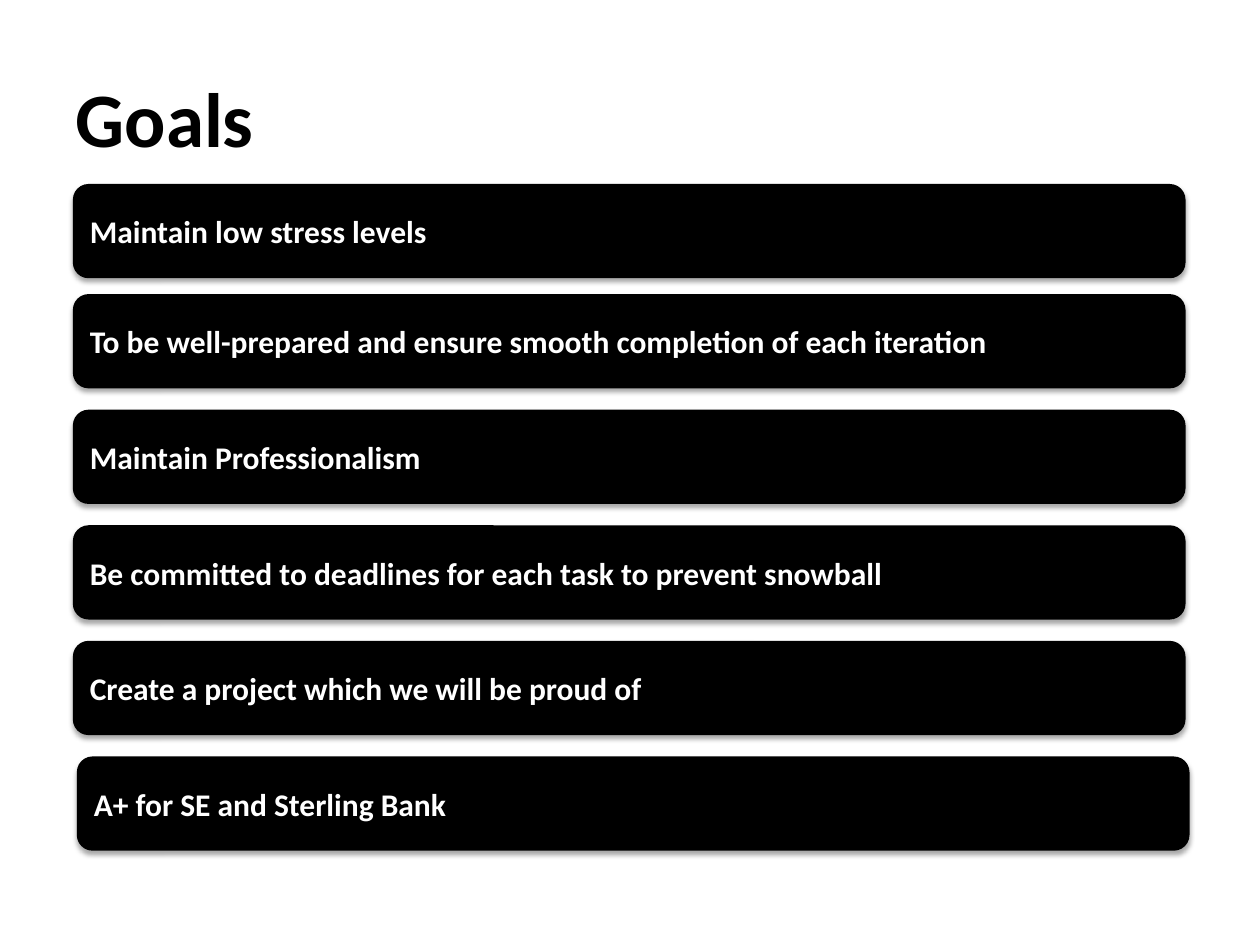
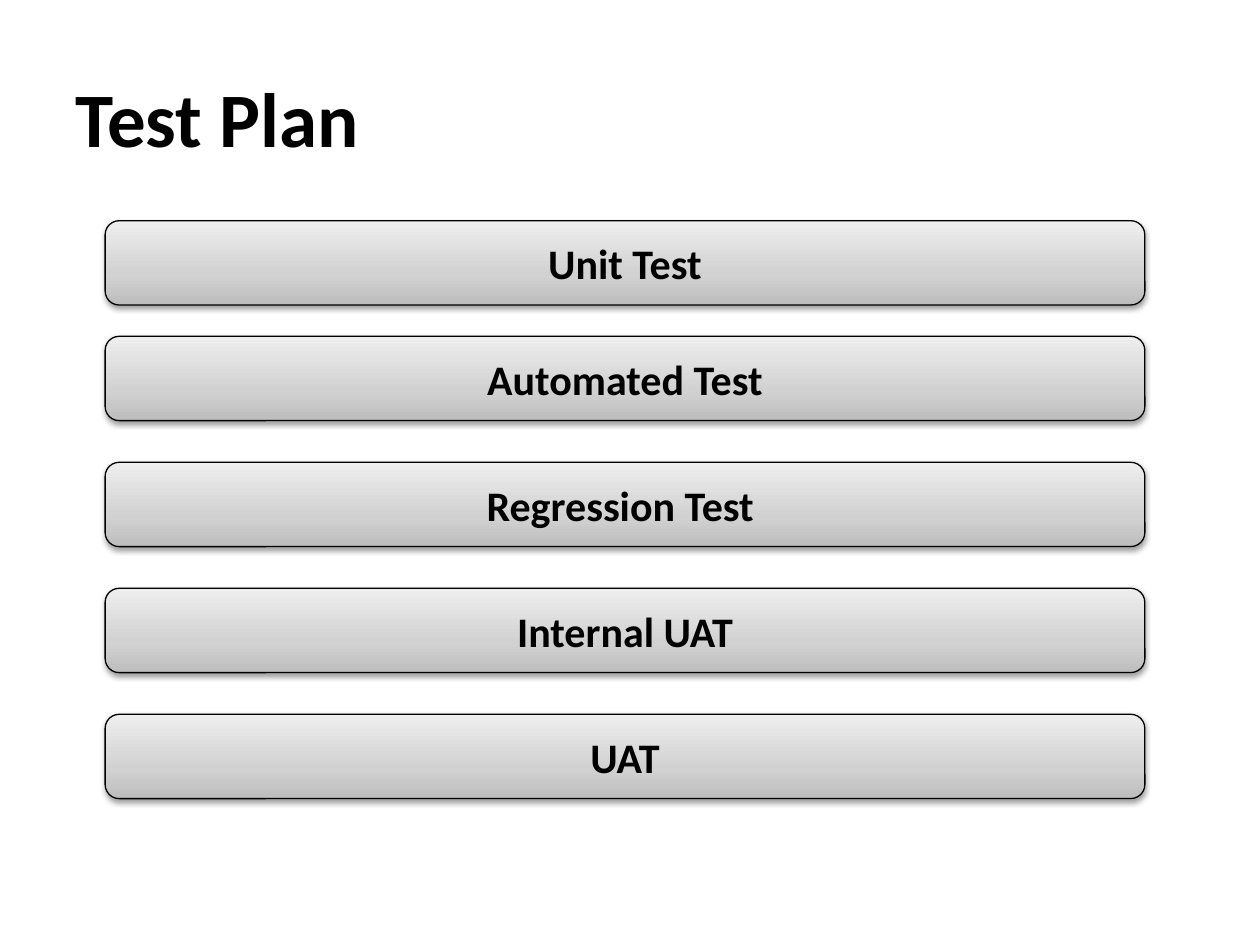
from lxml import etree
from pptx import Presentation
from pptx import util as u
from pptx.dml.color import RGBColor
from pptx.enum import shapes, text
from pptx.oxml import ns

HUES = {
    "ink": "000000",
    "page": "FFFFFF",
    "low": "BDBDBD",
    "mid": "D1D1D1",
    "high": "EEEEEE",
}
FADE = [(0, "low"), (35, "mid"), (100, "high")]

GOALS = [
    "Maintain low stress levels",
    "To be well-prepared and ensure smooth completion of each iteration",
    "Maintain Professionalism",
    "Be committed to deadlines for each task to prevent snowball",
    "Create a project which we will be proud of",
    "A+ for SE and Sterling Bank",
]
TESTS = ["Unit Test", "Automated Test", "Regression Test ", "Internal UAT", "UAT"]


def add(parent, tag, **attrs):
    return etree.SubElement(parent, ns.qn(tag), {k: str(v) for k, v in attrs.items()})


class Deck:
    font = "Calibri"

    def __init__(self):
        self.prs = Presentation()
        self.prs.slide_width = u.Cm(25.4)
        self.prs.slide_height = u.Cm(19.05)
        self.slide = None

    def hue(self, name):
        return RGBColor.from_string(HUES[name])

    def label(self, frame, words, size, hue, align):
        frame.word_wrap = True
        frame.vertical_anchor = text.MSO_ANCHOR.MIDDLE
        para = frame.paragraphs[0]
        para.alignment = align
        run = para.add_run()
        run.text = words
        run.font.name = self.font
        run.font.size = u.Pt(size)
        run.font.bold = True
        run.font.color.rgb = self.hue(hue)

    def page(self, words):
        self.slide = self.prs.slides.add_slide(self.prs.slide_layouts[5])
        back = self.slide.background.fill
        back.solid()
        back.fore_color.rgb = self.hue("page")
        title = self.slide.shapes.title
        title.left, title.top = u.Cm(1.27), u.Cm(0.76)
        title.width, title.height = u.Cm(22.86), u.Cm(3.18)
        self.label(title.text_frame, words, 44, "ink", text.PP_ALIGN.LEFT)

    def shade(self, shape, alpha, drop):
        shape.shadow.inherit = False
        effects = shape._element.spPr.find(ns.qn("a:effectLst"))
        cast = add(effects, "a:outerShdw", blurRad=u.Pt(3.1), dist=u.Pt(drop),
                   dir=90 * 60000, rotWithShape=0)
        tint = add(cast, "a:srgbClr", val=HUES["ink"])
        add(tint, "a:alpha", val=alpha * 1000)

    def fade(self, shape):
        shape.fill.gradient()
        shape.fill.gradient_angle = 90
        stops = shape._element.spPr.find(".//" + ns.qn("a:gsLst"))
        for old in list(stops):
            stops.remove(old)
        for spot, name in FADE:
            add(add(stops, "a:gs", pos=spot * 1000), "a:srgbClr", val=HUES[name])

    def bar(self, left, top, width, height):
        return self.slide.shapes.add_shape(
            shapes.MSO_SHAPE.ROUNDED_RECTANGLE,
            u.Cm(left), u.Cm(top), u.Cm(width), u.Cm(height))

    def goal(self, words, left, top):
        bar = self.bar(left, top, 22.43, 1.9)
        bar.fill.solid()
        bar.fill.fore_color.rgb = self.hue("ink")
        bar.line.fill.background()
        self.shade(bar, 35, 1.8)
        self.label(bar.text_frame, words, 18, "page", text.PP_ALIGN.LEFT)

    def test(self, words, left, top):
        bar = self.bar(left, top, 20.96, 1.7)
        self.fade(bar)
        bar.line.color.rgb = self.hue("ink")
        bar.line.width = u.Pt(0.75)
        self.shade(bar, 38, 1.6)
        self.label(bar.text_frame, words, 24, "ink", text.PP_ALIGN.CENTER)


def tops(first, second, step, count):
    return [first] + [second + step * i for i in range(count - 1)]


def main():
    deck = Deck()

    deck.page("Goals")
    lefts = [1.47] * (len(GOALS) - 1) + [1.55]
    for words, left, top in zip(GOALS, lefts, tops(3.71, 5.93, 2.33, len(GOALS))):
        deck.goal(words, left, top)

    deck.page("Test Plan")
    for words, top in zip(TESTS, tops(4.45, 6.78, 2.54, len(TESTS))):
        deck.test(words, 2.12, top)

    deck.prs.save("out.pptx")


if __name__ == "__main__":
    main()
